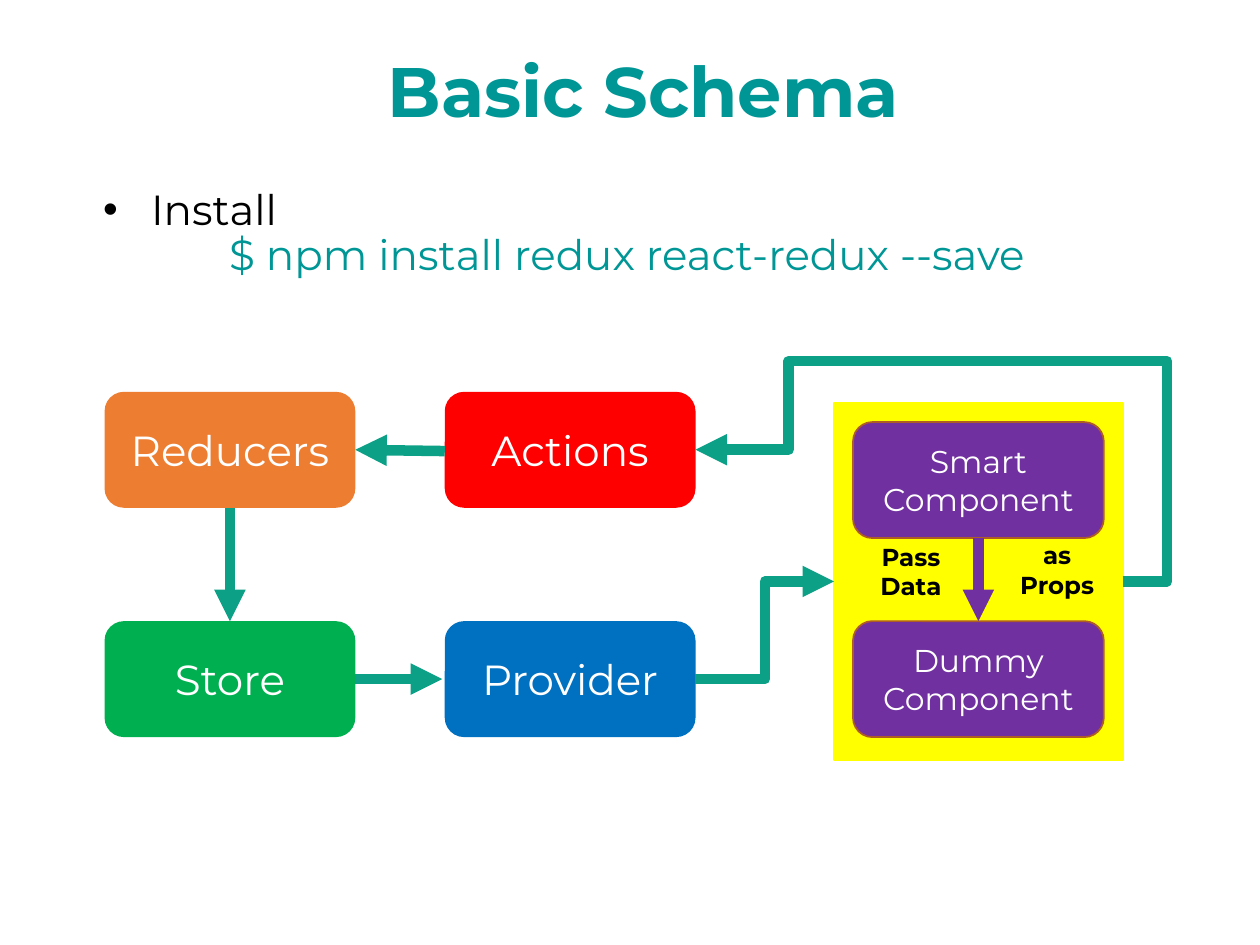
"""Build the Basic Schema slide: a Redux data-flow diagram."""
from dataclasses import dataclass

from lxml import etree
from pptx import Presentation
from pptx.dml.color import RGBColor
from pptx.enum.shapes import MSO_CONNECTOR, MSO_SHAPE
from pptx.enum.text import MSO_ANCHOR, PP_ALIGN
from pptx.oxml.ns import qn
from pptx.util import Inches, Pt

STRAIGHT, ELBOW = MSO_CONNECTOR.STRAIGHT, MSO_CONNECTOR.ELBOW
RECTANGLE, ROUNDED = MSO_SHAPE.RECTANGLE, MSO_SHAPE.ROUNDED_RECTANGLE
CENTER, JUSTIFY = PP_ALIGN.CENTER, PP_ALIGN.JUSTIFY
TOP, MIDDLE = MSO_ANCHOR.TOP, MSO_ANCHOR.MIDDLE

FONT = "Montserrat"
BLACK, WHITE = "000000", "FFFFFF"
TEAL, FLOW, PURPLE, YELLOW, RUST = "009696", "0CA087", "7030A0", "FFFF00", "AF5C24"

CARD_WIDTH, CARD_HEIGHT = 1.99, 0.92
COLUMNS = (0.83, 3.53, 6.77)
ROWS = (3.11, 4.93)
MIDDLES = tuple(top + CARD_HEIGHT / 2 for top in ROWS)
RIGHTS = tuple(left + CARD_WIDTH for left in COLUMNS)
STORE_X = COLUMNS[0] + CARD_WIDTH / 2
COMPONENT_X = COLUMNS[2] + CARD_WIDTH / 2
SMART_DROP = 0.24
PANEL = (6.62, 3.2, 2.29, 2.83)
PANEL_RIGHT = PANEL[0] + PANEL[2]
PANEL_MIDDLE = PANEL[1] + PANEL[3] / 2


@dataclass(frozen=True)
class Card:
    """A rounded box on the grid, with its label."""
    lines: tuple[str, ...]
    column: int
    row: int
    fill: str
    size: int = 24
    line: str | None = None
    drop: float = 0


@dataclass(frozen=True)
class Arrow:
    """A thick arrow between two points."""
    start: tuple[float, float]
    end: tuple[float, float]
    color: str = FLOW
    kind: int = STRAIGHT
    bends: tuple[int, ...] = ()


@dataclass(frozen=True)
class Note:
    """A bold remark beside the component arrow."""
    lines: tuple[str, ...]
    left: float
    top: float


CARDS = (
    Card(("Reducers",), 0, 0, "ED7D31"),
    Card(("Store",), 0, 1, "00B050"),
    Card(("Provider",), 1, 1, "0070C0"),
    Card(("Actions",), 1, 0, "FF0000"),
    Card(("Smart", "Component"), 2, 0, PURPLE, 18, RUST, SMART_DROP),
    Card(("Dummy Component",), 2, 1, PURPLE, 18, RUST),
)
NOTES = (
    Note(("Pass Data",), 6.74, 4.25),
    Note(("as", "Props"), 7.9, 4.24),
)
ARROWS = (
    Arrow((COMPONENT_X, ROWS[0] + SMART_DROP + CARD_HEIGHT), (COMPONENT_X, ROWS[1]), PURPLE),
    Arrow((RIGHTS[1], MIDDLES[1]), (PANEL[0], PANEL_MIDDLE), kind=ELBOW),
    Arrow((RIGHTS[0], MIDDLES[1]), (3.51, MIDDLES[1])),
    Arrow((STORE_X, ROWS[0] + CARD_HEIGHT), (STORE_X, ROWS[1])),
    Arrow((COLUMNS[1], MIDDLES[0] + 0.01), (RIGHTS[0], MIDDLES[0])),
    Arrow((PANEL_RIGHT, PANEL_MIDDLE), (RIGHTS[1], MIDDLES[0]), FLOW, ELBOW,
          (-10400, 167300, 78200)),
)


def rgb(color: str) -> RGBColor:
    """Turn a hex string into a colour."""
    return RGBColor.from_string(color)


def place(box, left: float, top: float, width: float, height: float) -> None:
    """Move and size a box, in inches."""
    box.left, box.top = Inches(left), Inches(top)
    box.width, box.height = Inches(width), Inches(height)


def write(box, lines: tuple[str, ...], size: int, colors: tuple[str, ...],
          bold: bool = False, align=CENTER, anchor=MIDDLE, spacing: float = 1.0) -> list:
    """Write one paragraph per line, cycling colours, and return the paragraphs."""
    frame = box.text_frame
    frame.word_wrap = True
    frame.vertical_anchor = anchor
    paras = []
    for index, line in enumerate(lines):
        para = frame.add_paragraph() if index else frame.paragraphs[0]
        para.alignment, para.line_spacing = align, spacing
        para.space_before = Pt(0)
        span = para.add_run()
        span.text = line
        span.font.name, span.font.size, span.font.bold = FONT, Pt(size), bold
        span.font.color.rgb = rgb(colors[index % len(colors)])
        paras.append(para)
    return paras


def add_text(page, area: tuple[float, ...], *content, **style) -> list:
    """Add a text box and return its paragraphs."""
    box = page.shapes.add_textbox(*(Inches(value) for value in area))
    return write(box, *content, **style)


def add_box(page, kind, area: tuple[float, ...], fill: str, line: str | None):
    """Add a filled shape without a shadow."""
    box = page.shapes.add_shape(kind, *(Inches(value) for value in area))
    box.shadow.inherit = False
    box.fill.solid()
    box.fill.fore_color.rgb = rgb(fill)
    if line:
        box.line.color.rgb = rgb(line)
        box.line.width = Pt(1)
    else:
        box.line.fill.background()
    return box


def add_card(page, card: Card) -> None:
    """Draw a card with its label."""
    area = (COLUMNS[card.column], ROWS[card.row] + card.drop, CARD_WIDTH, CARD_HEIGHT)
    box = add_box(page, ROUNDED, area, card.fill, card.line)
    write(box, card.lines, card.size, (WHITE,))


def add_arrow(page, arrow: Arrow) -> None:
    """Draw an arrow, with its bends when it has more than one turn."""
    points = (Inches(value) for value in arrow.start + arrow.end)
    connector = page.shapes.add_connector(arrow.kind, *points)
    connector.line.color.rgb = rgb(arrow.color)
    connector.line.width = Pt(6)
    properties = connector._element.spPr
    etree.SubElement(properties.find(qn("a:ln")), qn("a:tailEnd"), type="triangle")
    etree.SubElement(properties, qn("a:effectLst"))
    if arrow.bends:
        geometry = properties.find(qn("a:prstGeom"))
        geometry.set("prst", "bentConnector5")
        for number, bend in enumerate(arrow.bends, 1):
            etree.SubElement(geometry.find(qn("a:avLst")), qn("a:gd"),
                             name=f"adj{number}", fmla=f"val {bend}")


def add_install(page) -> None:
    """Add the install bullet with the indented command below it."""
    bullet, command = add_text(
        page, (0.72, 1.45, 8.71, 5.28),
        ("Install", "$ npm install redux react-redux --save"), 24, (BLACK, TEAL),
        align=JUSTIFY, anchor=TOP, spacing=0.9)
    settings = bullet._p.get_or_add_pPr()
    settings.set("marL", str(Inches(0.38)))
    settings.set("indent", str(-Inches(0.38)))
    etree.SubElement(settings, qn("a:buFont"), typeface="Arial")
    etree.SubElement(settings, qn("a:buChar"), char="•")
    command._p.get_or_add_pPr().set("marL", str(Inches(1)))


def main() -> None:
    """Build and save the deck."""
    deck = Presentation()
    deck.slide_width, deck.slide_height = Inches(10), Inches(7.5)
    page = deck.slides.add_slide(deck.slide_layouts[5])
    title = page.shapes.title
    place(title, 0.21, 0.17, 9.79, 1.17)
    write(title, ("Basic Schema",), 40, (TEAL,), bold=True, spacing=0.9)
    add_install(page)
    add_box(page, RECTANGLE, PANEL, YELLOW, YELLOW)
    for card in CARDS:
        add_card(page, card)
    for note in NOTES:
        add_text(page, (note.left, note.top, 0.98, 0.66), note.lines, 14, (BLACK,),
                 bold=True, anchor=TOP)
    for arrow in ARROWS:
        add_arrow(page, arrow)
    deck.save("out.pptx")


if __name__ == "__main__":
    main()
